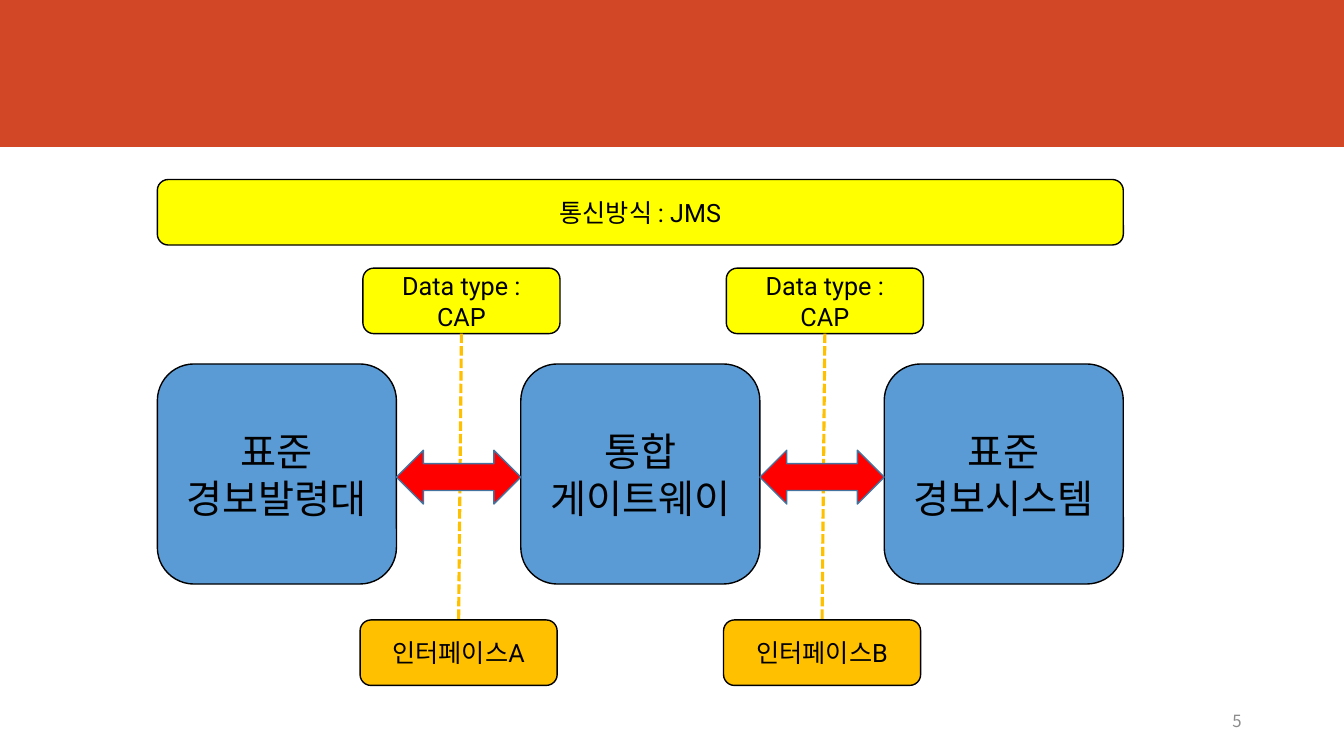
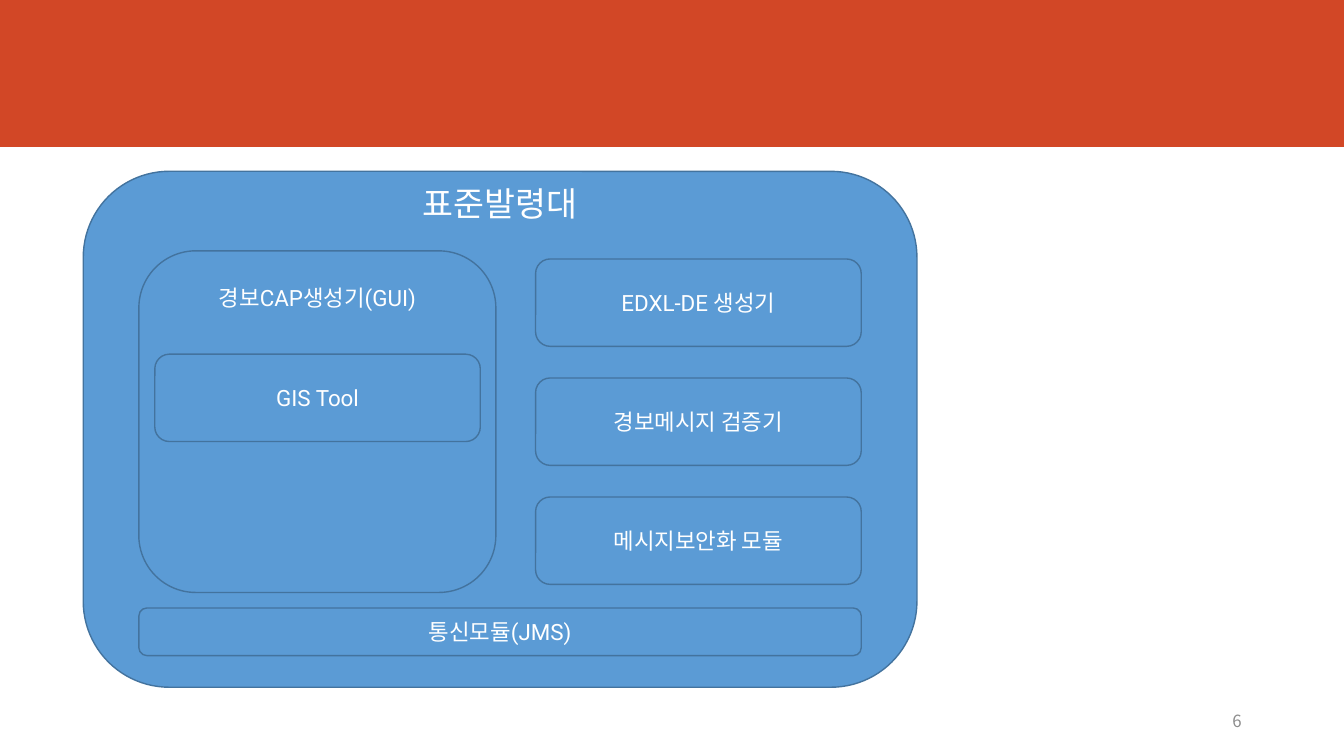
"""Build two slides on the alert architecture and the standard alert console."""
from lxml import etree
from pptx import Presentation
from pptx.dml.color import RGBColor
from pptx.enum import dml, shapes, text
from pptx.oxml import ns
from pptx.util import Pt

SLIDE_WIDTH, SLIDE_HEIGHT = 960, 540
LATIN_FONT, KOREAN_FONT = "Roboto", "Noto Sans CJK KR"
BAND = RGBColor(0xD2, 0x47, 0x26)
BLUE = RGBColor(0x5B, 0x9B, 0xD5)
DARK_BLUE = RGBColor(0x43, 0x73, 0x9E)
YELLOW = RGBColor(0xFF, 0xFF, 0x00)
ORANGE = RGBColor(0xFF, 0xC0, 0x00)
RED = RGBColor(0xFF, 0x00, 0x00)
GREY = RGBColor(0x8C, 0x8C, 0x8C)
BLACK = RGBColor(0x00, 0x00, 0x00)
WHITE = RGBColor(0xFF, 0xFF, 0xFF)
ROUNDED = shapes.MSO_SHAPE.ROUNDED_RECTANGLE

TRANSPORT = "통신방식 : JMS"
SYSTEMS = ["표준\n경보발령대", "통합\n게이트웨이", "표준\n경보시스템"]
LINKS = [("Data type :\nCAP", "인터페이스A"), ("Data type :\nCAP", "인터페이스B")]

CONSOLE = "표준발령대"
GENERATOR = "경보CAP생성기(GUI)"
GIS_TOOL = "GIS Tool"
MODULES = ["EDXL-DE 생성기", "경보메시지 검증기", "메시지보안화 모듈"]
COMMUNICATION = "통신모듈(JMS)"


def write(shape, content, size, color, font=LATIN_FONT, align=text.PP_ALIGN.CENTER):
    frame = shape.text_frame
    frame.word_wrap = True
    frame.vertical_anchor = text.MSO_ANCHOR.MIDDLE
    frame.text = content
    for paragraph in frame.paragraphs:
        paragraph.alignment = align
        paragraph.font.size = Pt(size)
        paragraph.font.color.rgb = color
        paragraph.font.name = font
        east_asian = etree.SubElement(paragraph.font._element, ns.qn("a:ea"))
        east_asian.set("typeface", KOREAN_FONT)


def add_shape(slide, kind, box, fill, line=None):
    shape = slide.shapes.add_shape(kind, *map(Pt, box))
    shape.shadow.inherit = False
    shape.fill.solid()
    shape.fill.fore_color.rgb = fill
    if line is None:
        shape.line.fill.background()
    else:
        shape.line.color.rgb = line
        shape.line.width = Pt(1)
    return shape


def add_box(slide, box, content, size, fill=BLUE, line=BLACK, color=BLACK):
    shape = add_shape(slide, ROUNDED, box, fill, line)
    write(shape, content, size, color)
    return shape


def add_label(slide, box, content, size, color, **style):
    label = slide.shapes.add_textbox(*map(Pt, box))
    write(label, content, size, color, **style)


def add_dashed_link(slide, upper, lower):
    link = slide.shapes.add_connector(shapes.MSO_CONNECTOR.STRAIGHT, 0, 0, 0, 0)
    link.begin_connect(upper, 2)
    link.end_connect(lower, 0)
    link.line.color.rgb = ORANGE
    link.line.width = Pt(2.25)
    link.line.dash_style = dml.MSO_LINE.SQUARE_DOT
    etree.SubElement(link._element.spPr, ns.qn("a:effectLst"))


def add_slide(presentation, number):
    slide = presentation.slides.add_slide(presentation.slide_layouts[6])
    add_label(slide, (636, 500.5, 258, 28.75), str(number), 12, GREY,
              font=KOREAN_FONT, align=text.PP_ALIGN.RIGHT)
    return slide


def add_master_band(presentation, slide):
    band = add_shape(slide, shapes.MSO_SHAPE.RECTANGLE, (0, 0, SLIDE_WIDTH, 105), BAND)
    presentation.slide_master.shapes._spTree.insert(2, band._element)


def fill_architecture(slide):
    left, width, step = 112.4, 170.8, 259.6
    small_width, small_height = 140.8, 46.8
    gap = step - width
    add_box(slide, (left, 128.2, 2 * step + width, small_height), TRANSPORT, 18, YELLOW)
    for index, system in enumerate(SYSTEMS):
        add_box(slide, (left + index * step, 260, width, 157.2), system, 28)
    for index, (data_type, interface) in enumerate(LINKS):
        gap_left = left + width + index * step
        upper = add_box(slide, (gap_left - 24, 191.5, small_width, small_height),
                        data_type, 18, YELLOW)
        lower = add_box(slide, (gap_left - 26, 442.8, small_width, small_height),
                        interface, 18, ORANGE)
        add_dashed_link(slide, upper, lower)
        add_shape(slide, shapes.MSO_SHAPE.LEFT_RIGHT_ARROW,
                  (gap_left, 321.6, gap, 38.4), RED, DARK_BLUE)


def fill_console(slide):
    style = {"line": DARK_BLUE, "color": WHITE}
    add_shape(slide, ROUNDED, (59.5, 122.4, 595.5, 368.5), BLUE, DARK_BLUE)
    add_label(slide, (59.5, 125, 595.5, 40), CONSOLE, 24, WHITE)
    add_box(slide, (99.2, 434.3, 516, 34), COMMUNICATION, 16, **style)
    generator = add_box(slide, (99.2, 179.2, 255, 244), GENERATOR, 16, **style)
    generator.text_frame.vertical_anchor = text.MSO_ANCHOR.TOP
    generator.text_frame.margin_top = Pt(12)
    add_box(slide, (110.6, 253, 232.5, 62.4), GIS_TOOL, 16, **style)
    for index, module in enumerate(MODULES):
        add_box(slide, (382.6, 185 + 85 * index, 232.6, 62.4), module, 16, **style)


def main():
    presentation = Presentation()
    presentation.slide_width, presentation.slide_height = Pt(SLIDE_WIDTH), Pt(SLIDE_HEIGHT)
    architecture = add_slide(presentation, 5)
    add_master_band(presentation, architecture)
    fill_architecture(architecture)
    fill_console(add_slide(presentation, 6))
    presentation.save("out.pptx")


if __name__ == "__main__":
    main()
